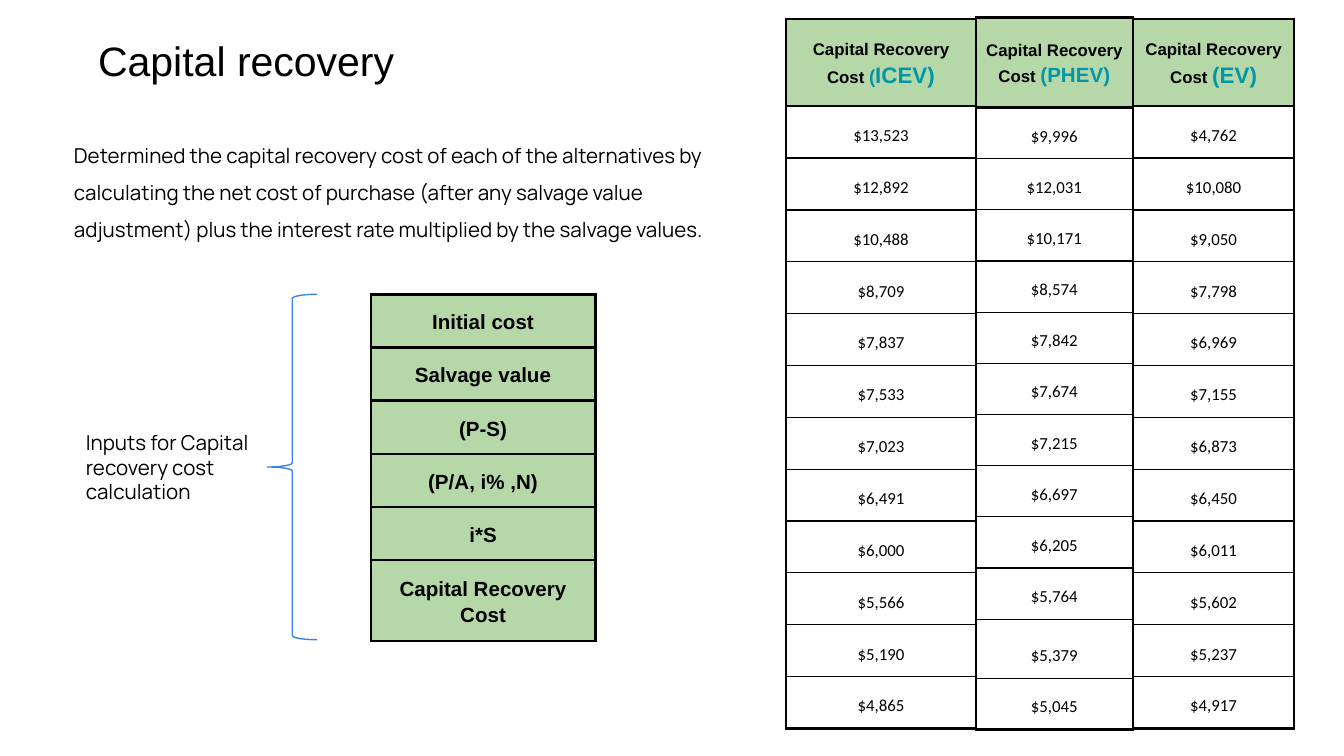
import lxml.etree
import pptx
import pptx.dml.color
import pptx.enum.shapes
import pptx.enum.text
import pptx.oxml.ns
import pptx.util

Inches, Pt = pptx.util.Inches, pptx.util.Pt
RGBColor = pptx.dml.color.RGBColor
Align, Anchor = pptx.enum.text.PP_ALIGN, pptx.enum.text.MSO_ANCHOR

BLACK = RGBColor(0x00, 0x00, 0x00)
TEAL = RGBColor(0x00, 0x97, 0xA7)
GREEN = RGBColor(0xB6, 0xD7, 0xA8)
BLUE = RGBColor(0x3C, 0x81, 0xF3)

THICK, THIN = 1.5, 0.75

TITLE = "Capital recovery"
EXPLANATION = (
    "Determined the capital recovery cost of each of the alternatives by "
    "calculating the net cost of purchase (after any salvage value adjustment) "
    "plus the interest rate multiplied by the salvage values."
)
BRACE_LABEL = "Inputs for Capital recovery cost calculation"
INPUTS_BOX = (2.76, 2.19, 1.67, 2.57)
INPUTS = [
    ["Initial cost"], ["Salvage value"], ["(P-S)"], ["(P/A, i% ,N)"], ["i*S"],
    ["Capital Recovery", "Cost"],
]

# Header paragraphs are lists of runs: text, size, colour.
COST_TABLES = [
    {
        "box": (5.85, 0.14, 1.41, 5.28), "header_height": 0.65, "special_rows": {},
        "header": [
            [("Capital Recovery", 9, BLACK)],
            [("Cost ", 9, BLACK), ("(", 10, TEAL), ("ICEV)", 12, TEAL)],
        ],
        "costs": [13523, 12892, 10488, 8709, 7837, 7533,
                  7023, 6491, 6000, 5566, 5190, 4865],
    },
    {
        "box": (7.26, 0.13, 1.17, 5.3), "header_height": 0.67,
        "special_rows": {10: 0.44},
        "header": [[("Capital Recovery Cost ", 9, BLACK), ("(PHEV)", 11, TEAL)]],
        "costs": [9996, 12031, 10171, 8574, 7842, 7674,
                  7215, 6697, 6205, 5764, 5379, 5045],
    },
    {
        "box": (8.43, 0.14, 1.2, 5.28), "header_height": 0.65, "special_rows": {},
        "header": [[("Capital Recovery Cost ", 9, BLACK), ("(EV)", 12, TEAL)]],
        "costs": [4762, 10080, 9050, 7798, 6969, 7155,
                  6873, 6450, 6011, 5602, 5237, 4917],
    },
]


def add_run(paragraph, text, size, font, color=BLACK, bold=False):
    run = paragraph.add_run()
    run.text = text
    run.font.size = Pt(size)
    run.font.name = font
    run.font.bold = bold
    run.font.color.rgb = color


def set_margins(target, left, top, right, bottom):
    target.margin_left, target.margin_top = Inches(left), Inches(top)
    target.margin_right, target.margin_bottom = Inches(right), Inches(bottom)


def add_text_box(slide, box, text):
    frame = slide.shapes.add_textbox(*map(Inches, box)).text_frame
    frame.word_wrap = True
    add_run(frame.paragraphs[0], text, 11, "Manrope")
    return frame


def set_borders(cell, top, bottom):
    """Draw black borders: thick at the sides, given widths above and below."""
    properties = cell._tc.get_or_add_tcPr()
    widths = {"a:lnL": THICK, "a:lnR": THICK, "a:lnT": top, "a:lnB": bottom}
    for tag, width in widths.items():
        line = lxml.etree.SubElement(
            properties, pptx.oxml.ns.qn(tag), w=str(Pt(width)))
        fill = lxml.etree.SubElement(line, pptx.oxml.ns.qn("a:solidFill"))
        lxml.etree.SubElement(
            fill, pptx.oxml.ns.qn("a:srgbClr"), val=str(BLACK))


def fill_cell(cell, paragraphs, font, bold, anchor, fill, top, bottom):
    set_borders(cell, top, bottom)
    if fill is None:
        cell.fill.background()
    else:
        cell.fill.solid()
        cell.fill.fore_color.rgb = fill
    cell.vertical_anchor = anchor
    set_margins(cell, 0.03, 0.09, 0.03, 0.09)
    frame = cell.text_frame
    for index, runs in enumerate(paragraphs):
        paragraph = frame.add_paragraph() if index else frame.paragraphs[0]
        paragraph.alignment = Align.CENTER
        paragraph.line_spacing = 1.15
        for text, size, color in runs:
            add_run(paragraph, text, size, font, color, bold)


def add_column_table(slide, box, heights):
    """Add a one-column table and return its cells from top to bottom."""
    table = slide.shapes.add_table(len(heights), 1, *map(Inches, box)).table
    table.first_row = table.horz_banding = False
    for row, height in zip(table.rows, heights):
        row.height = Inches(height)
    return list(table.iter_cells())


def add_inputs_table(slide):
    last_height = 0.59
    single_count = len(INPUTS) - 1
    row_height = (INPUTS_BOX[3] - last_height) / single_count
    heights = [row_height] * single_count + [last_height]
    cells = add_column_table(slide, INPUTS_BOX, heights)
    for cell, lines in zip(cells, INPUTS):
        paragraphs = [[(line, 11, BLACK)] for line in lines]
        fill_cell(cell, paragraphs, "Arial", True, Anchor.MIDDLE, GREEN, THICK, THICK)


def add_cost_table(slide, box, header_height, special_rows, header, costs):
    free_height = box[3] - header_height - sum(special_rows.values())
    row_height = free_height / (len(costs) - len(special_rows))
    heights = [special_rows.get(index, row_height) for index in range(len(costs))]
    header_cell, *cost_cells = add_column_table(slide, box, [header_height] + heights)

    fill_cell(header_cell, header, "Arial", True, Anchor.MIDDLE, GREEN, THICK, THICK)
    for index, (cell, cost) in enumerate(zip(cost_cells, costs)):
        top = THICK if index == 0 else THIN
        bottom = THICK if index == len(costs) - 1 else THIN
        fill_cell(cell, [[(f"${cost:,}", 9, BLACK)]], "Calibri", False,
                  Anchor.BOTTOM, None, top, bottom)


def add_title(slide):
    title = slide.shapes.title
    title.left, title.top, title.width, title.height = map(
        Inches, (0.66, 0.24, 8.49, 0.43))
    frame = title.text_frame
    frame.auto_size = pptx.enum.text.MSO_AUTO_SIZE.NONE
    frame.vertical_anchor = Anchor.BOTTOM
    set_margins(frame, 0.07, 0.04, 0.07, 0.04)
    paragraph = frame.paragraphs[0]
    paragraph.alignment = Align.LEFT
    paragraph.line_spacing = 0.85
    add_run(paragraph, TITLE, 22, "Arial")


def add_explanation(slide):
    frame = add_text_box(slide, (0.38, 0.93, 5.11, 4.32), EXPLANATION)
    set_margins(frame, 0.17, 0.04, 0, 0.04)
    frame.paragraphs[0].line_spacing = 1.5


def add_brace(slide):
    brace = slide.shapes.add_shape(
        pptx.enum.shapes.MSO_SHAPE.LEFT_BRACE,
        *map(Inches, (1.99, 2.19, 0.37, 2.57)))
    brace.shadow.inherit = False
    brace.fill.background()
    brace.line.color.rgb = BLUE
    brace.line.width = Pt(0.75)


def main():
    presentation = pptx.Presentation()
    presentation.slide_width = Inches(10)
    presentation.slide_height = presentation.slide_width * 9 // 16
    slide = presentation.slides.add_slide(presentation.slide_layouts[5])

    add_title(slide)
    add_explanation(slide)
    add_inputs_table(slide)
    for cost_table in COST_TABLES:
        add_cost_table(slide, **cost_table)
    add_brace(slide)
    add_text_box(slide, (0.54, 3.15, 1.44, 0.66), BRACE_LABEL)
    presentation.save("out.pptx")


if __name__ == "__main__":
    main()
